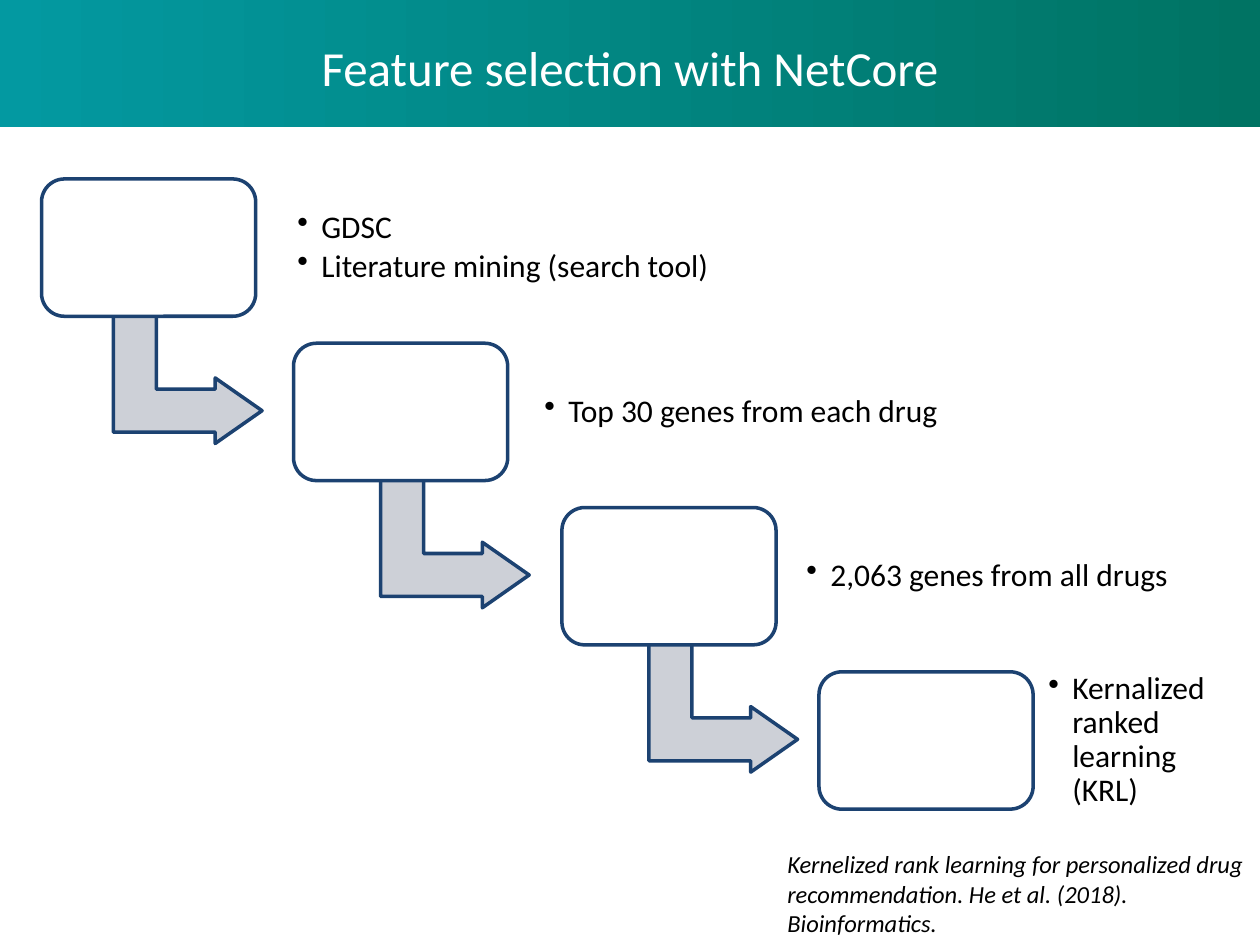
from dataclasses import dataclass
from typing import Any

from pptx import Presentation
from pptx.dml.color import RGBColor
from pptx.enum.shapes import MSO_SHAPE as Form
from pptx.enum.text import MSO_ANCHOR as Anchor, PP_ALIGN as Align
from pptx.oxml.ns import qn
from pptx.util import Inches, Pt
from lxml.etree import SubElement

NAVY, GREY, WHITE, BLACK = "1C4271", "CDD0D7", "FFFFFF", "000000"
TEAL, GREEN = "0399A1", "007363"
TOP, PITCH = 1.42, 1.304
WIDE, HIGH = 1.7, 1.09


@dataclass
class Step:
    left: float
    note: float
    width: float
    items: list[str]
    arrow: float | None = None


STEPS = [
    Step(0.33, 2.29, 4.09, ["GDSC", "Literature mining (search tool)"], 0.97),
    Step(2.33, 4.25, 4.09, ["Top 30 genes from each drug"], 3.09),
    Step(4.46, 6.33, 3.35, ["2,063 genes from all drugs"], 5.22),
    Step(6.5, 8.25, 1.58, ["Kernalized ranked learning (KRL)"]),
]


def tint(code: str) -> RGBColor:
    return RGBColor.from_string(code)


def apply(target: Any, style: dict[str, Any]) -> None:
    for key, value in style.items():
        setattr(target, key, value)


def add_form(slide: Any, form: Form, box: tuple, fill: str, adjust: list[float]) -> Any:
    shape = slide.shapes.add_shape(form, *map(Inches, box))
    shape.shadow.inherit = False
    shape.fill.solid()
    shape.fill.fore_color.rgb = tint(fill)
    shape.line.color.rgb = tint(NAVY)
    shape.line.width = Pt(2)
    for index, value in enumerate(adjust):
        shape.adjustments[index] = value
    return shape


def add_text(slide: Any, box: tuple, lines: list[str], size: int, color: str = BLACK,
             italic: bool = False) -> Any:
    frame = slide.shapes.add_textbox(*map(Inches, box)).text_frame
    frame.word_wrap = True
    for index, line in enumerate(lines):
        para = frame.paragraphs[0] if index == 0 else frame.add_paragraph()
        run = para.add_run()
        run.text = line
        apply(run.font, {"name": "Calibri", "size": Pt(size), "italic": italic})
        run.font.color.rgb = tint(color)
    return frame


def add_notes(slide: Any, box: tuple, items: list[str]) -> None:
    frame = add_text(slide, box, items, 18)
    sides = ("left", "right", "top", "bottom")
    apply(frame, {f"margin_{side}": Inches(0.07) for side in sides})
    frame.vertical_anchor = Anchor.MIDDLE
    for para in frame.paragraphs:
        apply(para, {"level": 1, "line_spacing": 0.9, "space_after": Pt(3)})
        props = para._p.get_or_add_pPr()
        props.set("marL", str(Inches(0.19)))
        props.set("indent", str(-Inches(0.19)))
        SubElement(props, qn("a:buChar")).set("char", "•")


def add_step(slide: Any, step: Step, top: float) -> None:
    if step.arrow is not None:
        arrow = add_form(slide, Form.BENT_UP_ARROW, (step.arrow, top + 0.99, 1.04, 1.18),
                         GREY, [0.328, 0.25, 0.358])
        arrow.rotation = 90
    add_form(slide, Form.ROUNDED_RECTANGLE, (step.left, top, WIDE, HIGH), WHITE, [0.167])
    add_notes(slide, (step.note, top + 0.05, step.width, 0.99), step.items)


def add_head(slide: Any) -> None:
    band = add_form(slide, Form.RECTANGLE, (0, 0, 10, 1.01), TEAL, [])
    band.line.fill.background()
    band.fill.gradient()
    band.fill.gradient_angle = 0
    for stop, code, place in zip(band.fill.gradient_stops, (TEAL, GREEN), (0, 1)):
        stop.color.rgb = tint(code)
        stop.position = place
    frame = add_text(slide, (0.7, 0.25, 8.6, 0.57), ["Feature selection with NetCore"], 28, WHITE)
    frame.paragraphs[0].alignment = Align.CENTER


def main() -> None:
    deck = Presentation()
    apply(deck, {"slide_width": Inches(10), "slide_height": Inches(7.5)})
    slide = deck.slides.add_slide(deck.slide_layouts[6])
    add_head(slide)
    for index, step in enumerate(STEPS):
        add_step(slide, step, TOP + index * PITCH)
    add_text(slide, (6.15, 6.69, 3.85, 0.81),
             ["Kernelized rank learning for personalized drug recommendation. "
              "He et al. (2018). Bioinformatics."], 14, italic=True)
    deck.save("out.pptx")


if __name__ == "__main__":
    main()
